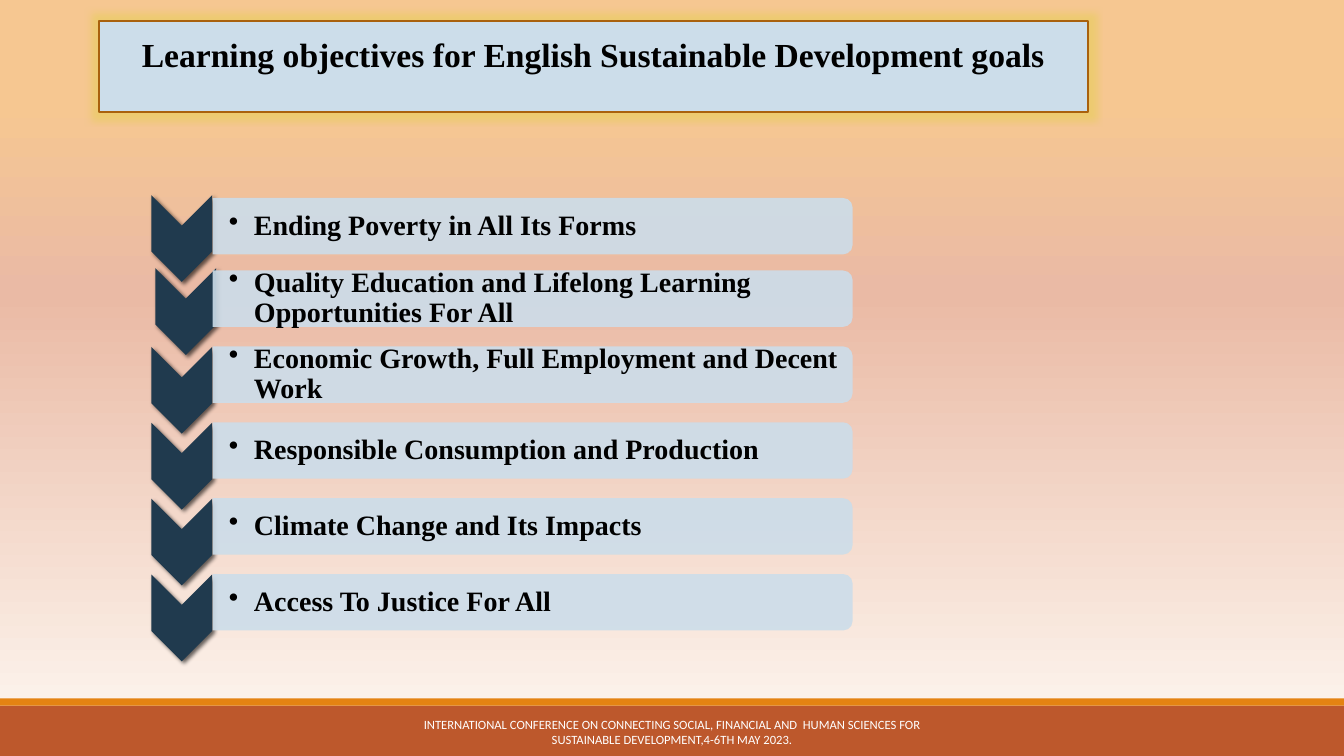
"""Build the slide on learning objectives for sustainable development."""
from lxml import etree
from pptx import Presentation
from pptx.dml.color import RGBColor
from pptx.enum import shapes, text
from pptx.oxml import ns
from pptx.util import Pt

TITLE = "Learning objectives for English Sustainable Development goals"
FOOTER = ("INTERNATIONAL CONFERENCE ON CONNECTING SOCIAL, FINANCIAL AND  HUMAN "
          "SCIENCES FOR SUSTAINABLE DEVELOPMENT,4-6TH MAY 2023.")
GOALS = [
    "Ending Poverty in All Its Forms",
    "Quality Education and Lifelong Learning Opportunities For All",
    "Economic Growth, Full Employment and Decent Work",
    "Responsible Consumption and Production",
    "Climate Change and Its Impacts",
    "Access To Justice For All",
]
BAR_SHIFT = {0: 2.4}
ARROW_SHIFT = {1: (2.9, -2)}
STOPS = [(4, "F6C791"), (13, "F6C791"), (39, "EABAA5"), (100, "FEF9F3")]
PALE, NAVY, RUST, ORANGE = "CCDDEA", "203A4E", "BD582C", "E48312"
WIDE, HIGH = 960, 540
FIRST, PITCH = 159.2, 54.2
SERIF = "Times New Roman"
KIND = shapes.MSO_SHAPE


def color(code):
    return RGBColor.from_string(code)


def node(parent, tag, **attrs):
    return etree.SubElement(parent, ns.qn(tag), {k: str(v) for k, v in attrs.items()})


def tint(parent, code, alpha):
    node(node(parent, "a:srgbClr", val=code), "a:alpha", val=alpha * 1000)


def place(item, left, top, width, height):
    item.left, item.top = Pt(left), Pt(top)
    item.width, item.height = Pt(width), Pt(height)


def shape(kind, mid, size, fill, turn=0):
    (x, y), (w, h) = mid, size
    item = slide.shapes.add_shape(kind, Pt(x - w / 2), Pt(y - h / 2), Pt(w), Pt(h))
    item.rotation = turn
    item.shadow.inherit = False
    item.fill.solid()
    item.fill.fore_color.rgb = color(fill)
    item.line.fill.background()
    return item


def write(item, words, size, font=SERIF, hue="000000", bold=True, center=True,
          bullet=False, anchor=text.MSO_ANCHOR.MIDDLE, pad=(7.2, 3.6, 7.2, 3.6)):
    frame = item.text_frame
    frame.word_wrap = True
    frame.auto_size = text.MSO_AUTO_SIZE.NONE
    frame.vertical_anchor = anchor
    (frame.margin_left, frame.margin_top,
     frame.margin_right, frame.margin_bottom) = map(Pt, pad)
    para = frame.paragraphs[0]
    para.alignment = text.PP_ALIGN.CENTER if center else text.PP_ALIGN.LEFT
    run = para.add_run()
    run.text = words
    run.font.size, run.font.name, run.font.bold = Pt(size), font, bold
    run.font.color.rgb = color(hue)
    if bullet:
        para.line_spacing = 0.9
        props = para._p.get_or_add_pPr()
        props.set("marL", str(Pt(18)))
        props.set("indent", str(-Pt(18)))
        node(props, "a:buChar", char="•")


def backdrop():
    fill = slide.background.fill
    fill.gradient()
    fill.gradient_angle = 270
    stops = slide.element.find(".//" + ns.qn("a:gsLst"))
    for old in list(stops):
        stops.remove(old)
    for at, code in STOPS:
        node(node(stops, "a:gs", pos=at * 1000), "a:srgbClr", val=code)


def heading():
    item = slide.shapes.title
    place(item, 70.6, 15.1, 706.3, 64.8)
    props = item._element.spPr
    geom = node(props, "a:prstGeom", prst="round2DiagRect")
    guides = node(geom, "a:avLst")
    node(guides, "a:gd", name="adj1", fmla="val 50000")
    node(guides, "a:gd", name="adj2", fmla="val 0")
    item.fill.solid()
    item.fill.fore_color.rgb = color(PALE)
    item.line.color.rgb = color("A9610D")
    item.line.width = Pt(1.25)
    glow = node(node(props, "a:effectLst"), "a:glow", rad=Pt(10))
    tint(glow, "E0D040", 40)
    write(item, TITLE, 24, anchor=text.MSO_ANCHOR.TOP, pad=(7.2, 9, 7.2, 3.6))


def row(i, words):
    base = FIRST + i * PITCH
    dx, dy = ARROW_SHIFT.get(i, (0, 0))
    arrow = shape(KIND.CHEVRON, (129.8 + dx, base + 11.2 + dy), (62, 43.4), NAVY, 90)
    effect = arrow._element.spPr.find(ns.qn("a:effectLst"))
    shade = node(effect, "a:outerShdw", blurRad=Pt(3), dist=Pt(2),
                 dir=45 * 60000, rotWithShape=0)
    tint(shade, "000000", 60)
    mid = base + BAR_SHIFT.get(i, 0)
    bar = shape(KIND.ROUND_2_SAME_RECTANGLE, (380.4, mid), (40.3, 457.2), PALE, 90)
    hue = bar._element.spPr.find(ns.qn("a:solidFill"))[0]
    node(hue, "a:alpha", val=90000)
    label = slide.shapes.add_textbox(Pt(151.9), Pt(mid - 18.2), Pt(455), Pt(36.4))
    write(label, words, 20, center=False, bullet=True, pad=(11.5, 0.9, 0.9, 0.9))


def footer():
    shape(KIND.RECTANGLE, (WIDE / 2, HIGH - 18), (WIDE, 36), RUST)
    shape(KIND.RECTANGLE, (WIDE / 2, HIGH - 38.6), (WIDE, 5.2), ORANGE)
    label = slide.shapes.add_textbox(Pt(290.2), Pt(508.5), Pt(379.4), Pt(28.8))
    write(label, FOOTER, 9, font="Calibri", hue="FFFFFF", bold=False)


deck = Presentation()
deck.slide_width, deck.slide_height = Pt(WIDE), Pt(HIGH)
slide = deck.slides.add_slide(deck.slide_layouts[5])
backdrop()
footer()
for i, words in enumerate(GOALS):
    row(i, words)
heading()
deck.save("out.pptx")
